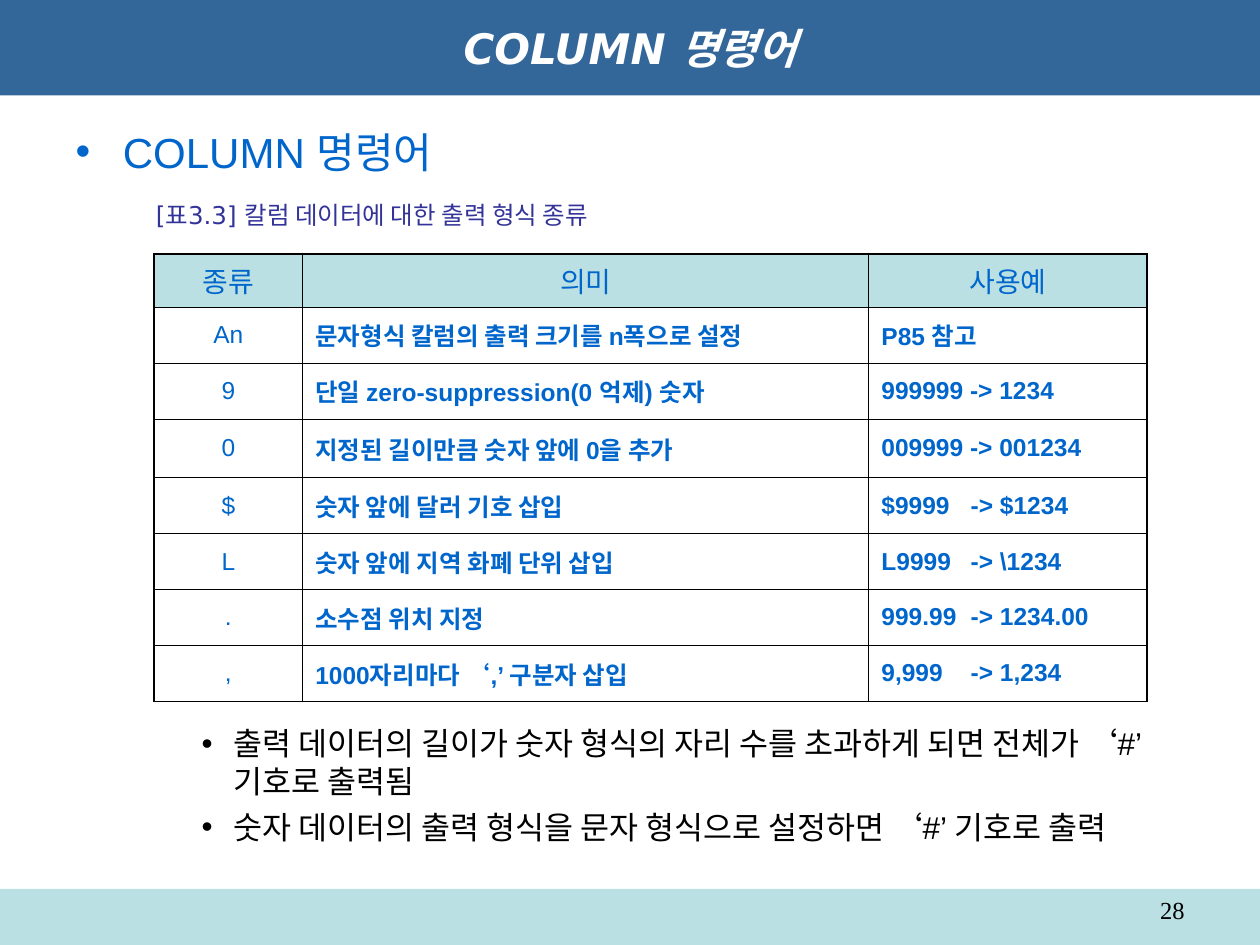
from lxml.etree import SubElement
from pptx import Presentation
from pptx.dml.color import RGBColor
from pptx.enum.shapes import MSO_SHAPE
from pptx.enum.text import MSO_ANCHOR, MSO_AUTO_SIZE, PP_ALIGN
from pptx.oxml.ns import qn
from pptx.util import Pt

BLUE, PALE, BLACK, WHITE = "0066CC", "BBE0E3", "000000", "FFFFFF"
THIN, THICK = 0.45, 1.08

COLUMN_WIDTHS = [85, 323.5, 159]
ROW_HEIGHTS = [30.5, 32, 32, 33.5, 32, 32, 32, 32]
FORMAT_ROWS = [
    ("종류", "의미", "사용예"),
    ("An", "문자형식 칼럼의 출력 크기를 n폭으로 설정", "P85 참고"),
    ("9", "단일 zero-suppression(0 억제) 숫자", "999999 -> 1234"),
    ("0", "지정된 길이만큼 숫자 앞에 0을 추가", "009999 -> 001234"),
    ("$", "숫자 앞에 달러 기호 삽입", "$9999\t-> $1234"),
    ("L", "숫자 앞에 지역 화폐 단위 삽입", "L9999\t-> \\1234"),
    (".", "소수점 위치 지정", "999.99\t-> 1234.00"),
    (",", "1000자리마다 ‘,’ 구분자 삽입", "9,999\t-> 1,234"),
]
# text, level, size, colour, left margin, hanging indent, space before
BULLETS = [
    ("COLUMN 명령어", 0, 24, BLUE, 27, 27, 0),
    ("출력 데이터의 길이가 숫자 형식의 자리 수를 초과하게 되면 전체가 ‘#’ 기호로 출력됨",
     2, 18, BLACK, 90, 18, 313),
    ("숫자 데이터의 출력 형식을 문자 형식으로 설정하면 ‘#’ 기호로 출력",
     2, 18, BLACK, 90, 18, 4.5),
]


def color(value):
    return RGBColor.from_string(value)


def fill_with(target, value):
    target.fill.solid()
    target.fill.fore_color.rgb = color(value)


def style(paragraph, size, value, name="Arial", bold=False, italic=False,
          align=PP_ALIGN.LEFT):
    paragraph.alignment = align
    font = paragraph.font
    font.name, font.size, font.bold, font.italic = name, Pt(size), bold, italic
    font.color.rgb = color(value)


def place(shape, left, top, width, height):
    shape.left, shape.top = Pt(left), Pt(top)
    shape.width, shape.height = Pt(width), Pt(height)


def add_footer_band(page):
    band = page.shapes.add_shape(MSO_SHAPE.RECTANGLE, Pt(0), Pt(508), Pt(720), Pt(32))
    band.shadow.inherit = False
    fill_with(band, PALE)
    band.line.fill.background()


def fill_title(title, text):
    place(title, 0, 0, 720, 54.5)
    fill_with(title, "336699")
    frame = title.text_frame
    frame.text = text
    frame.auto_size = MSO_AUTO_SIZE.NONE
    frame.vertical_anchor = MSO_ANCHOR.MIDDLE
    style(frame.paragraphs[0], 24, WHITE, "DejaVu Sans", True, True, PP_ALIGN.CENTER)


def fill_body(body):
    place(body, 36, 68.5, 648, 428.5)
    frame = body.text_frame
    frame.auto_size = MSO_AUTO_SIZE.NONE
    frame.text = "\n".join(bullet[0] for bullet in BULLETS)
    for paragraph, bullet in zip(frame.paragraphs, BULLETS):
        _, level, size, value, margin, hanging, before = bullet
        paragraph.level = level
        paragraph.space_before = Pt(before)
        properties = paragraph._p.get_or_add_pPr()
        properties.set("marL", str(Pt(margin)))
        properties.set("indent", str(-Pt(hanging)))
        SubElement(properties, qn("a:buChar"), char="•")
        style(paragraph, size, value)


def add_text(page, text, left, top, width, height, **look):
    box = page.shapes.add_textbox(Pt(left), Pt(top), Pt(width), Pt(height))
    frame = box.text_frame
    frame.word_wrap = True
    frame.text = text
    style(frame.paragraphs[0], **look)


def set_borders(cell, widths):
    properties = cell._tc.get_or_add_tcPr()
    for side, width in zip("LRTB", widths):
        line = SubElement(properties, qn(f"a:ln{side}"), w=str(Pt(width)))
        solid = SubElement(line, qn("a:solidFill"))
        SubElement(solid, qn("a:srgbClr"), val=BLACK)


def add_tab_stop(paragraph, position):
    stops = SubElement(paragraph._p.get_or_add_pPr(), qn("a:tabLst"))
    SubElement(stops, qn("a:tab"), pos=str(Pt(position)), algn="l")


def add_format_table(page):
    last_row, last_column = len(FORMAT_ROWS) - 1, len(COLUMN_WIDTHS) - 1
    table = page.shapes.add_table(
        len(FORMAT_ROWS), len(COLUMN_WIDTHS), Pt(88), Pt(145),
        Pt(sum(COLUMN_WIDTHS)), Pt(sum(ROW_HEIGHTS))).table
    table.first_row = table.horz_banding = False
    for column, width in zip(table.columns, COLUMN_WIDTHS):
        column.width = Pt(width)
    for r, (row, texts) in enumerate(zip(table.rows, FORMAT_ROWS)):
        row.height = Pt(ROW_HEIGHTS[r])
        for c, text in enumerate(texts):
            cell = table.cell(r, c)
            # The outer frame is thicker than the inner grid
            outer = (c == 0, c == last_column, r == 0, r == last_row)
            set_borders(cell, [THICK if edge else THIN for edge in outer])
            fill_with(cell, WHITE if r else PALE)
            cell.vertical_anchor = MSO_ANCHOR.MIDDLE
            cell.text = text
            paragraph = cell.text_frame.paragraphs[0]
            if "\t" in text:
                add_tab_stop(paragraph, 51)
            detail = r > 0 and c > 0
            style(paragraph, 14 if r else 16, BLUE, bold=detail,
                  align=PP_ALIGN.LEFT if detail else PP_ALIGN.CENTER)


def main():
    deck = Presentation()
    deck.slide_width, deck.slide_height = Pt(720), Pt(540)
    page = deck.slides.add_slide(deck.slide_layouts[1])

    # Title, list and footer band
    add_footer_band(page)
    fill_title(page.shapes.title, "COLUMN 명령어")
    fill_body(page.placeholders[1])

    # Table with its caption
    add_format_table(page)
    add_text(page, "[표3.3] 칼럼 데이터에 대한 출력 형식 종류", 82, 111, 290, 24.5,
             size=14, value="333399", name="DejaVu Sans")

    # Page number
    add_text(page, "28", 516, 508, 168, 21, size=14, value=BLACK,
             name="Times New Roman", align=PP_ALIGN.RIGHT)

    deck.save("out.pptx")


if __name__ == "__main__":
    main()
